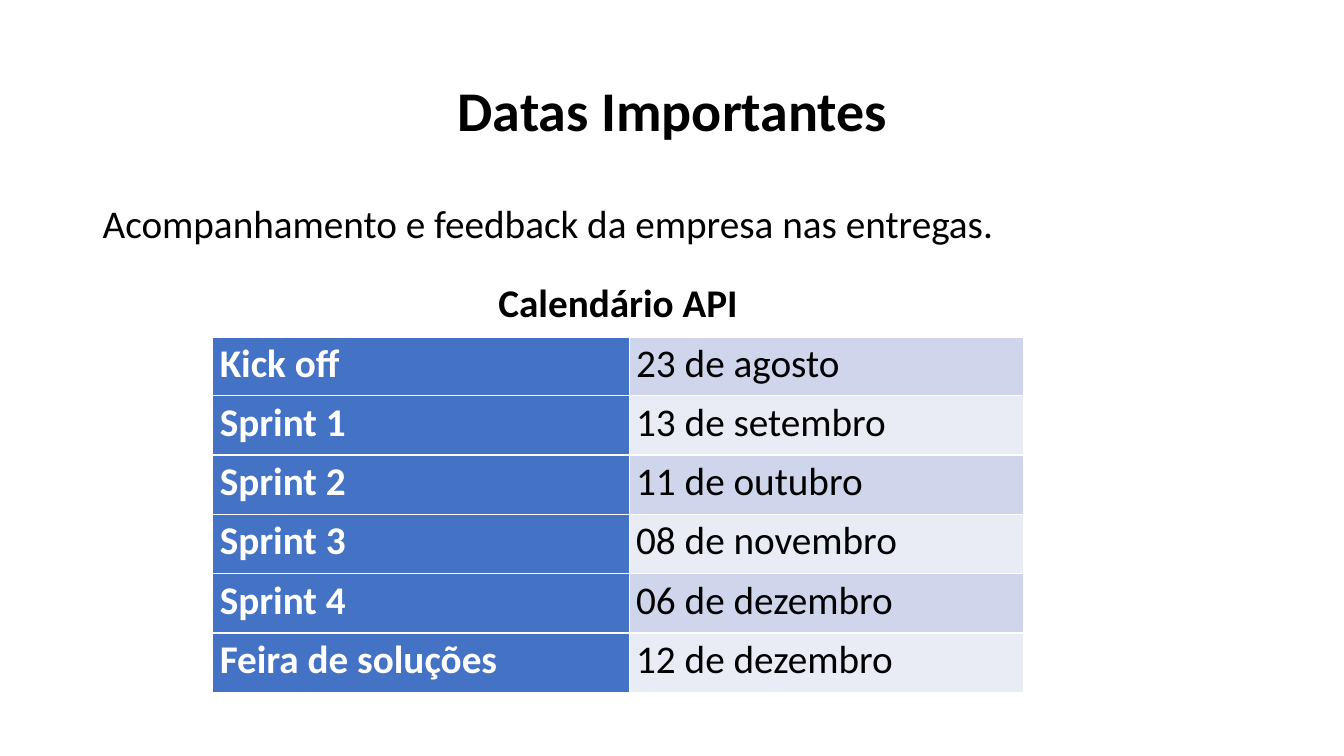
from dataclasses import dataclass

from lxml.etree import SubElement
from pptx import Presentation
from pptx.dml.color import RGBColor
from pptx.enum.text import MSO_ANCHOR, PP_ALIGN
from pptx.oxml.ns import qn
from pptx.slide import Slide
from pptx.table import Table, _Cell
from pptx.text.text import TextFrame
from pptx.util import Inches, Pt


@dataclass(frozen=True)
class Theme:
    font: str = "Calibri"
    title: int = 40
    body: int = 28
    black: str = "000000"
    white: str = "FFFFFF"
    blue: str = "4472C4"
    bands: tuple[str, str] = ("CFD5EA", "E9EBF5")


@dataclass(frozen=True)
class Style:
    size: int
    color: str
    bold: bool = False
    align: PP_ALIGN = PP_ALIGN.LEFT
    spacing: float = 0.9


@dataclass(frozen=True)
class Label:
    text: str
    top: float
    height: float
    anchor: MSO_ANCHOR
    style: Style


@dataclass(frozen=True)
class Event:
    name: str
    date: str


THEME = Theme()
LABELS = [
    Label("Datas Importantes", 0.4, 1.45, MSO_ANCHOR.MIDDLE,
          Style(THEME.title, THEME.black, True, PP_ALIGN.CENTER)),
    Label("Acompanhamento e feedback da empresa nas entregas.", 1.98, 4.76,
          MSO_ANCHOR.TOP, Style(THEME.body, THEME.black)),
]
HEADING = "Calendário API"
EVENTS = [
    Event("Kick off", "23 de agosto"),
    Event("Sprint 1", "13 de setembro"),
    Event("Sprint 2", "11 de outubro"),
    Event("Sprint 3", "08 de novembro"),
    Event("Sprint 4", "06 de dezembro"),
    Event("Feira de soluções", "12 de dezembro"),
]
COLS = (4.13, 3.91)
ROW = 4.12 / (len(EVENTS) + 1)
HEAD = Style(THEME.body, THEME.black, True, PP_ALIGN.CENTER, 1.07)
NAME = Style(THEME.body, THEME.white, True, spacing=1.07)
DATE = Style(THEME.body, THEME.black, spacing=1.07)


def write(frame: TextFrame, text: str, style: Style) -> None:
    line = frame.paragraphs[0]
    line.text = text
    line.alignment = style.align
    line.line_spacing = style.spacing
    font = line.font
    font.name, font.size, font.bold = THEME.font, Pt(style.size), style.bold
    font.color.rgb = RGBColor.from_string(style.color)


def add_label(slide: Slide, label: Label) -> None:
    box = slide.shapes.add_textbox(Inches(0.92), Inches(label.top),
                                   Inches(11.5), Inches(label.height))
    frame = box.text_frame
    frame.word_wrap = True
    frame.vertical_anchor = label.anchor
    write(frame, label.text, label.style)


def add_edges(cell: _Cell, top: int = 1, bottom: int = 1) -> None:
    props = cell._tc.get_or_add_tcPr()
    for side, width in {"L": 1, "R": 1, "T": top, "B": bottom}.items():
        edge = SubElement(props, qn(f"a:ln{side}"), w=str(Pt(width)))
        fill = SubElement(edge, qn("a:solidFill"))
        SubElement(fill, qn("a:srgbClr"), val=THEME.white)


def fill_cell(cell: _Cell, text: str, style: Style, color: str | None = None) -> None:
    cell.margin_left = cell.margin_right = Inches(0.07)
    cell.margin_top = cell.margin_bottom = 0
    write(cell.text_frame, text, style)
    if color:
        cell.fill.solid()
        cell.fill.fore_color.rgb = RGBColor.from_string(color)
    else:
        cell.fill.background()


def add_dates(slide: Slide) -> None:
    count = len(EVENTS) + 1
    frame = slide.shapes.add_table(count, len(COLS), Inches(2.11), Inches(2.75),
                                   Inches(sum(COLS)), Inches(ROW * count))
    table: Table = frame.table
    table.first_row = table.horz_banding = False
    for col, width in zip(table.columns, COLS):
        col.width = Inches(width)

    # White grid, with a thicker rule below the heading
    for r, row in enumerate(table.rows):
        row.height = Inches(ROW)
        for cell in row.cells:
            add_edges(cell, top=3 if r == 1 else 1, bottom=3 if r == 0 else 1)

    # Heading across both columns
    table.cell(0, 0).merge(table.cell(0, 1))
    fill_cell(table.cell(0, 0), HEADING, HEAD)

    # Event names and banded dates
    for i, event in enumerate(EVENTS):
        fill_cell(table.cell(i + 1, 0), event.name, NAME, THEME.blue)
        fill_cell(table.cell(i + 1, 1), event.date, DATE, THEME.bands[i % 2])


def main() -> None:
    deck = Presentation()
    deck.slide_width, deck.slide_height = Inches(13.33), Inches(7.5)
    slide = deck.slides.add_slide(deck.slide_layouts[6])
    for label in LABELS:
        add_label(slide, label)
    add_dates(slide)
    deck.save("out.pptx")


if __name__ == "__main__":
    main()
